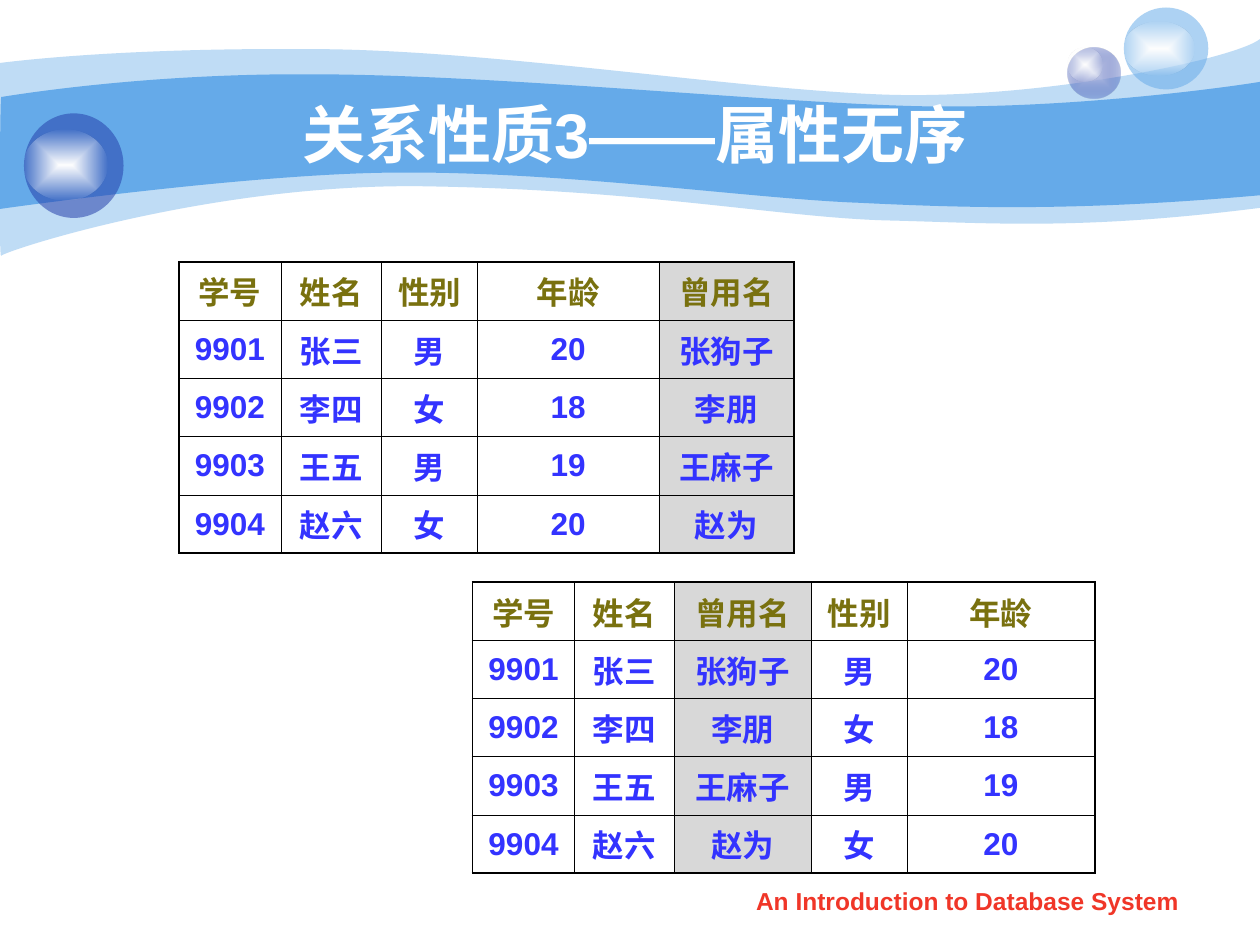
from lxml import etree
from pptx import Presentation
from pptx.dml.color import RGBColor
from pptx.enum.shapes import MSO_SHAPE
from pptx.enum.text import MSO_ANCHOR, PP_ALIGN
from pptx.oxml.ns import qn
from pptx.util import Inches, Pt

OVAL = MSO_SHAPE.OVAL
CENTER = PP_ALIGN.CENTER
MIDDLE = MSO_ANCHOR.MIDDLE

FONT = "Arial"
WHITE = RGBColor(0xFF, 0xFF, 0xFF)
BLACK = RGBColor(0, 0, 0)
SKY = RGBColor(0x65, 0xAA, 0xE9)
NAVY = RGBColor(0x23, 0x3D, 0xA9)
LILAC = RGBColor(0xC7, 0xCE, 0xE9)
GRAY = RGBColor(0xB2, 0xB2, 0xB2)
OLIVE = RGBColor(0x79, 0x71, 0x0F)
BLUE = RGBColor(0x33, 0x33, 0xFF)
RED = RGBColor(0xF0, 0x36, 0x28)

# Each wave: a start point, then Bezier segments; a bare pair is a straight line.
OUTER_WAVE = [
    (0, 0.5), (0.24, 0.47, 1.07, 0.38, 2.47, 0.39), (3.86, 0.39, 5.75, 0.7, 6.99, 0.75),
    (8.22, 0.8, 9.8, 0.47, 10, 0.31), (10, 1.65), (8.58, 1.83, 7.87, 1.77, 7.05, 1.75),
    (6.22, 1.73, 5.15, 1.51, 3.43, 1.48), (1.72, 1.44, 0.04, 1.99, 0.01, 2.03),
    (-0.01, 2.08, 0, 0.75, 0, 0.5),
]
INNER_WAVE = [
    (0.01, 0.77), (0.02, 0.77, 1.1, 0.58, 2.48, 0.59), (3.86, 0.59, 5.95, 0.8, 7.18, 0.84),
    (8.41, 0.88, 9.76, 0.69, 10, 0.65), (10, 1.55), (8.53, 1.68, 7.65, 1.65, 6.82, 1.61),
    (5.99, 1.58, 4.47, 1.36, 3.17, 1.37), (2.03, 1.37, -0.02, 1.66, -0.01, 1.66),
    (0, 1.66, 0, 0.77, 0.01, 0.77),
]

STUDENTS = {
    "学号": ["9901", "9902", "9903", "9904"],
    "姓名": ["张三", "李四", "王五", "赵六"],
    "性别": ["男", "女", "男", "女"],
    "年龄": ["20", "18", "19", "20"],
    "曾用名": ["张狗子", "李朋", "王麻子", "赵为"],
}
MOVED_COLUMN = "曾用名"


def write_text(frame, text, *, size, color, align=CENTER):
    paragraph = frame.paragraphs[0]
    paragraph.text = text
    paragraph.alignment = align
    font = paragraph.runs[0].font
    font.name, font.size, font.bold = FONT, Pt(size), True
    font.color.rgb = color


def set_opacity(fill_element, percent, index=0):
    """Make the index-th RGB colour of a fill partly transparent."""
    color = list(fill_element.iter(qn("a:srgbClr")))[index]
    etree.SubElement(color, qn("a:alpha"), val=str(percent * 1000))


def fill_solid(owner, properties, color, opacity=100):
    """Fill a shape or cell whose direct fill sits in the given properties element."""
    owner.fill.solid()
    owner.fill.fore_color.rgb = color
    if opacity < 100:
        set_opacity(properties.find(qn("a:solidFill")), opacity)


def fill_glow(shape, inner, outer, edge_opacity):
    """Gradient from the centre outwards."""
    shape.fill.gradient()
    for stop, color, position in zip(shape.fill.gradient_stops, (inner, outer), (0, 1)):
        stop.color.rgb = color
        stop.position = position
    gradient = shape._element.spPr.find(qn("a:gradFill"))
    gradient.remove(gradient.find(qn("a:lin")))
    rect_path = etree.SubElement(gradient, qn("a:path"), path="rect")
    etree.SubElement(rect_path, qn("a:fillToRect"), l="50000", t="50000", r="50000", b="50000")
    set_opacity(gradient, edge_opacity, index=1)


def bend_segments(wave, segments):
    """Turn the outline's straight segments into Bezier curves where controls are given."""
    lines = list(wave._element.iter(qn("a:lnTo")))
    for line, segment in zip(lines, segments):
        if len(segment) == 6:
            line.tag = qn("a:cubicBezTo")
            for i, (x, y) in enumerate((segment[:2], segment[2:4])):
                control = etree.Element(qn("a:pt"), x=str(Inches(x) - wave.left),
                                        y=str(Inches(y) - wave.top))
                line.insert(i, control)


def add_wave(slide, outline, opacity=100):
    (start_x, start_y), *segments = outline
    builder = slide.shapes.build_freeform(Inches(start_x), Inches(start_y), scale=1.0)
    builder.add_line_segments([tuple(map(Inches, segment[-2:])) for segment in segments])
    wave = builder.convert_to_shape()
    bend_segments(wave, segments)
    wave.shadow.inherit = False
    wave.line.fill.background()
    fill_solid(wave, wave._element.spPr, SKY, opacity)


def add_bubble(slide, ball_box, shine_box, color=None):
    """A ball with a white shine; without a colour the ball glows from lilac to navy."""
    group = slide.shapes.add_group_shape()
    ball, shine = [group.shapes.add_shape(OVAL, *map(Inches, box))
                   for box in (ball_box, shine_box)]
    for oval in (ball, shine):
        oval.shadow.inherit = False
        oval.line.fill.background()
    if color is None:
        fill_glow(ball, LILAC, NAVY, 31)
    else:
        fill_solid(ball, ball._element.spPr, color, 53)
    fill_glow(shine, WHITE, WHITE, 0)


def add_backdrop(slide):
    add_wave(slide, OUTER_WAVE, 41)
    add_wave(slide, INNER_WAVE)
    add_bubble(slide, (8.47, 0.38, 0.42, 0.4), (8.47, 0.38, 0.28, 0.27))
    add_bubble(slide, (8.92, 0.06, 0.67, 0.65), (8.92, 0.17, 0.56, 0.43), SKY)
    add_bubble(slide, (0.19, 0.9, 0.79, 0.83), (0.19, 1.03, 0.66, 0.56), NAVY)


def add_title(slide, text, left, top, width, height):
    title = slide.shapes.title
    title.left, title.top, title.width, title.height = map(Inches, (left, top, width, height))
    title.text_frame.vertical_anchor = MIDDLE
    write_text(title.text_frame, text, size=36, color=WHITE)
    slide.shapes._spTree.append(title._element)  # in front of the waves


def add_footer(slide, text, left, top, width, height):
    footer = slide.shapes.add_textbox(*map(Inches, (left, top, width, height)))
    footer.text_frame.word_wrap = True
    write_text(footer.text_frame, text, size=14, color=RED)


def set_borders(properties, outer_sides):
    """Thin lines all round, thicker on the table's outer sides."""
    for side in "LRTB":
        width = Pt(1.08 if side in outer_sides else 0.45)
        line = etree.SubElement(properties, qn(f"a:ln{side}"), w=str(width))
        solid = etree.SubElement(line, qn("a:solidFill"))
        etree.SubElement(solid, qn("a:srgbClr"), val=str(BLACK))


def add_student_table(slide, left, top, row_height, column_widths):
    """column_widths maps attribute names, in display order, to inches."""
    row_count, column_count = 1 + len(STUDENTS["学号"]), len(column_widths)
    table = slide.shapes.add_table(
        row_count, column_count, Inches(left), Inches(top),
        Inches(sum(column_widths.values())), Inches(row_height * row_count)).table
    table.first_row = table.horz_banding = False
    for c, (attribute, width) in enumerate(column_widths.items()):
        table.columns[c].width = Inches(width)
        for r, value in enumerate([attribute] + STUDENTS[attribute]):
            cell = table.cell(r, c)
            cell.vertical_anchor = MIDDLE
            properties = cell._tc.get_or_add_tcPr()
            edges = {"L": c == 0, "R": c == column_count - 1,
                     "T": r == 0, "B": r == row_count - 1}
            set_borders(properties, [side for side, is_outer in edges.items() if is_outer])
            if attribute == MOVED_COLUMN:
                fill_solid(cell, properties, GRAY, 50)
            else:
                cell.fill.background()
            write_text(cell.text_frame, value, size=18, color=BLUE if r else OLIVE)


def main():
    prs = Presentation()
    prs.slide_width, prs.slide_height = Inches(10), Inches(7.5)
    slide = prs.slides.add_slide(prs.slide_layouts.get_by_name("Title Only"))
    add_backdrop(slide)
    add_footer(slide, "An Introduction to Database System", 5.71, 6.98, 3.94, 0.35)
    add_title(slide, "关系性质3——属性无序", 1, 0.75, 8.08, 0.62)
    add_student_table(slide, 1.42, 2.08, 0.4, {
        "学号": 0.81, "姓名": 0.8, "性别": 0.76, "年龄": 1.44, "曾用名": 1.07})
    add_student_table(slide, 3.75, 4.62, 0.4, {
        "学号": 0.81, "姓名": 0.79, "曾用名": 1.09, "性别": 0.76, "年龄": 1.49})
    prs.save("out.pptx")


if __name__ == "__main__":
    main()
